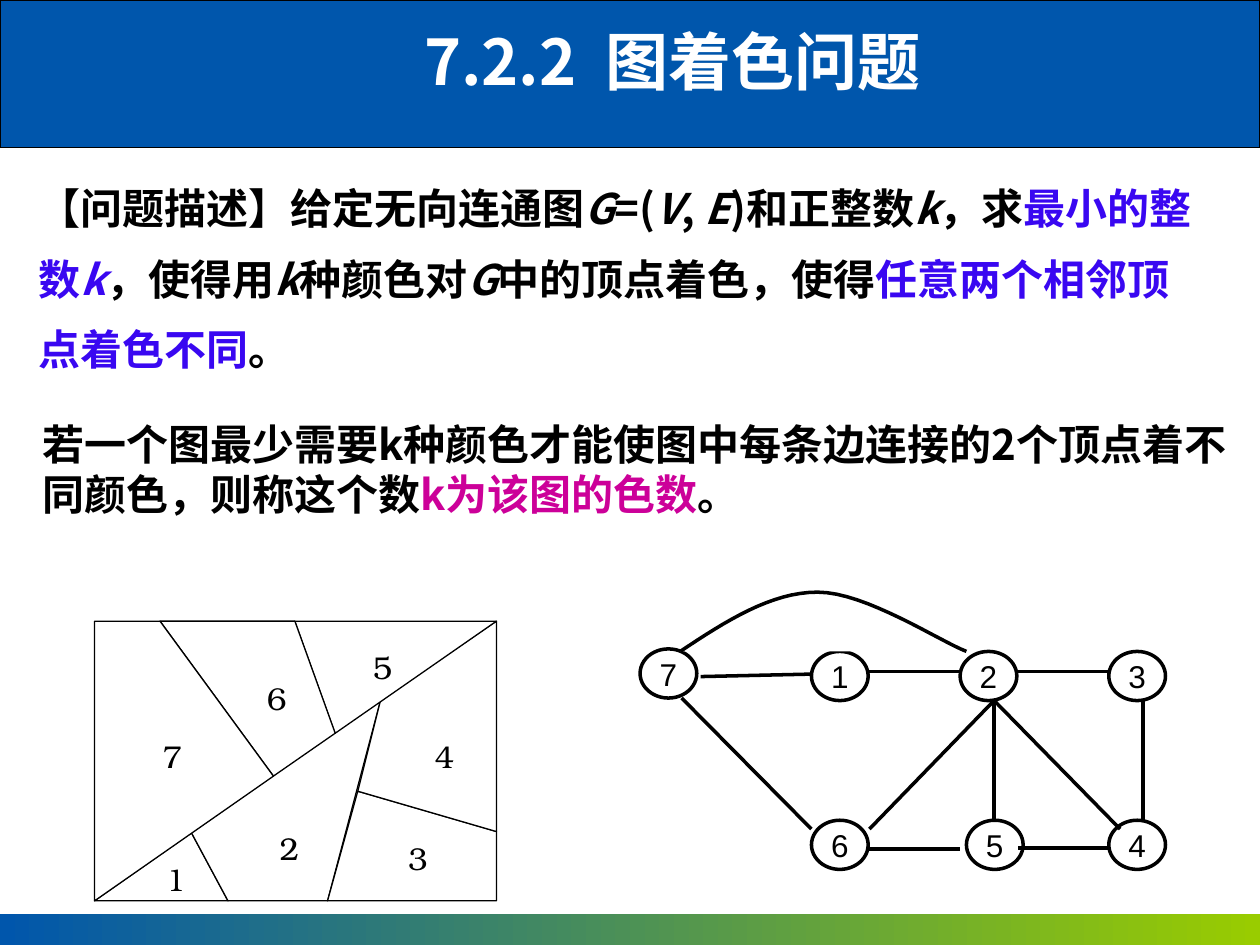
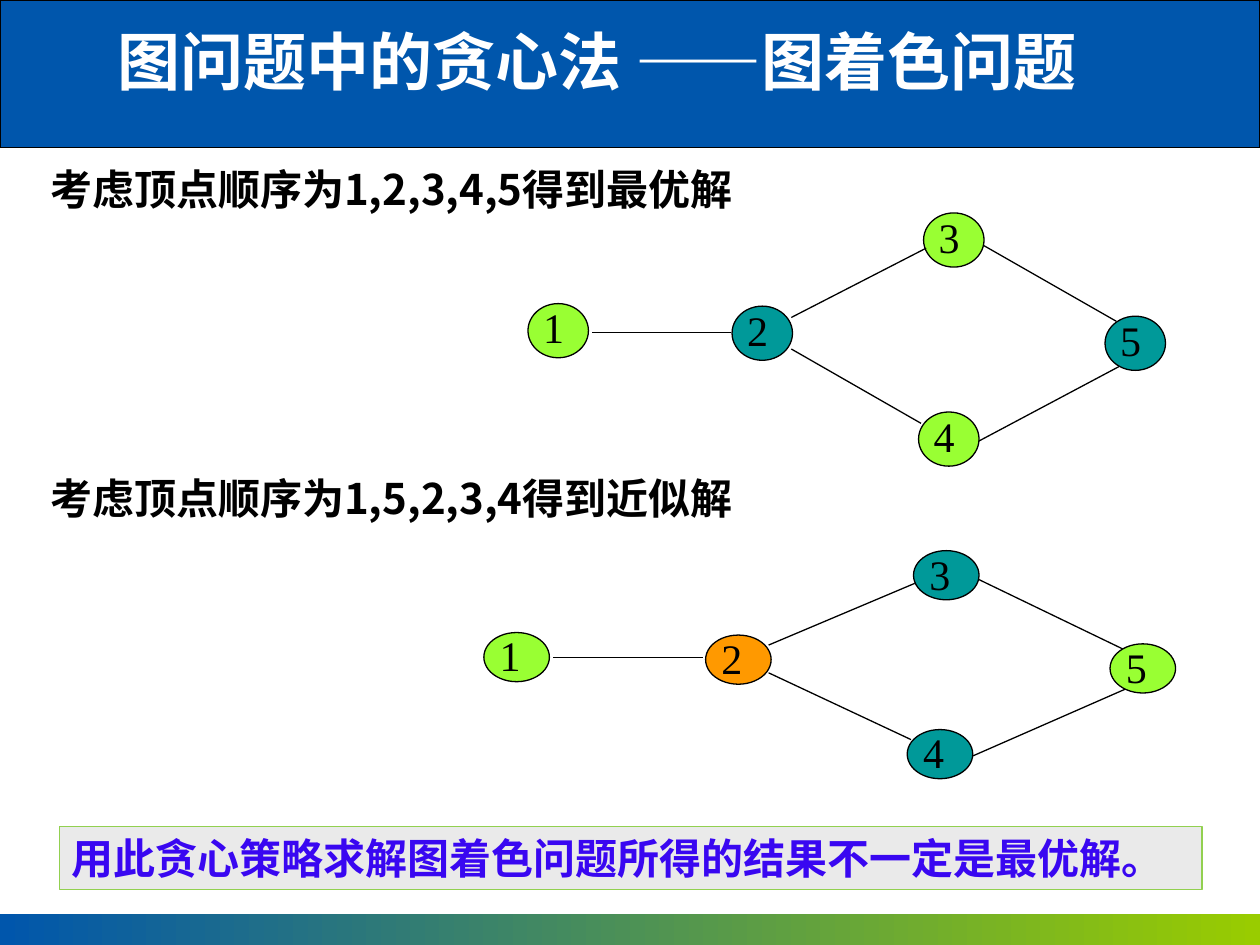
import pptx
import pptx.util
import pptx.dml.color
import pptx.enum.shapes
import pptx.enum.text
import pptx.oxml.ns
import lxml.etree

Inches = pptx.util.Inches
Pt = pptx.util.Pt
SHAPE = pptx.enum.shapes.MSO_SHAPE
ALIGN = pptx.enum.text.PP_ALIGN
ANCHOR = pptx.enum.text.MSO_ANCHOR
qn = pptx.oxml.ns.qn

COLORS = {
    "blue": "0056AC", "lime": "99CC00", "black": "000000", "white": "FFFFFF",
    "violet": "3907F1", "pink": "CC0099", "grey": "EAEAEA", "frame": "92D050",
    "green": "99FF33", "teal": "009999", "orange": "FF9900",
}
HAN = "Noto Sans CJK SC"


def rgb(name):
    return pptx.dml.color.RGBColor.from_string(COLORS[name])


class Deck:
    """Holds the style and the current slide."""

    def __init__(self):
        self.prs = pptx.Presentation()
        self.prs.slide_width = Inches(10)
        self.prs.slide_height = Inches(7.5)
        self.slide = None

    def page(self, title, box, align):
        """Add a slide with its two bands and its title."""
        self.slide = self.prs.slides.add_slide(self.prs.slide_layouts[5])
        self.shape(SHAPE.RECTANGLE, (0, 0, 10, 1.17), "blue")
        foot = self.shape(SHAPE.RECTANGLE, (0, 7.25, 10, 0.25), "blue", None)
        foot.fill.gradient()
        foot.fill.gradient_angle = 0
        for stop, color, place in zip(foot.fill.gradient_stops, ("blue", "lime"), (0, 1)):
            stop.color.rgb = rgb(color)
            stop.position = place
        head = self.slide.shapes.title
        head.left, head.top, head.width, head.height = map(Inches, box)
        self.slide.shapes._spTree.append(head._element)
        head.text_frame.auto_size = pptx.enum.text.MSO_AUTO_SIZE.NONE
        self.label(head, [(title, "white")], 36, align=align)

    def label(self, shape, parts, size=24, font=HAN, bold=True, align=ALIGN.LEFT,
              space=1.0, wrap=True, anchor=ANCHOR.TOP):
        """Fill a shape with runs given as (text, colour, italic or nothing)."""
        frame = shape.text_frame
        frame.word_wrap = wrap
        frame.vertical_anchor = anchor
        para = frame.paragraphs[0]
        para.alignment = align
        para.line_spacing = space
        for text, color, *slant in parts:
            run = para.add_run()
            run.text = text
            run.font.size = Pt(size)
            run.font.bold = bold
            run.font.italic = bool(slant)
            run.font.color.rgb = rgb(color)
            run.font.name = font
            east = lxml.etree.SubElement(run.font._element, qn("a:ea"))
            east.set("typeface", font)

    def text(self, box, parts, **style):
        shape = self.slide.shapes.add_textbox(*map(Inches, box))
        self.label(shape, parts, **style)

    def paint(self, shape, fill, line="black", width=0.75):
        shape.shadow.inherit = False
        shape.fill.solid()
        shape.fill.fore_color.rgb = rgb(fill)
        if line:
            shape.line.color.rgb = rgb(line)
            shape.line.width = Pt(width)
        else:
            shape.line.fill.background()
        return shape

    def shape(self, kind, box, fill, line="black", width=0.75):
        shape = self.slide.shapes.add_shape(kind, *map(Inches, box))
        return self.paint(shape, fill, line, width)

    def outline(self, points, close=True, width=0.75):
        points = [(Inches(x), Inches(y)) for x, y in points]
        pen = self.slide.shapes.build_freeform(*points[0])
        pen.add_line_segments(points[1:], close=close)
        self.paint(pen.convert_to_shape(), "white", width=width)

    def line(self, x1, y1, x2, y2, width=0.75):
        line = self.slide.shapes.add_connector(
            pptx.enum.shapes.MSO_CONNECTOR.STRAIGHT, *map(Inches, (x1, y1, x2, y2)))
        line.line.color.rgb = rgb("black")
        line.line.width = Pt(width)
        lxml.etree.SubElement(line._element.spPr, qn("a:effectLst"))

    def ring(self, name, x, y):
        """Draw a white vertex with a heavy outline."""
        node = self.shape(SHAPE.OVAL, (x, y, 0.45, 0.39), "white", width=2)
        self.label(node, [(name, "black")], 18, "Arial", False, ALIGN.CENTER,
                   wrap=False, anchor=ANCHOR.MIDDLE)

    def disc(self, name, x, y, size, fill):
        """Draw a coloured vertex."""
        node = self.shape(SHAPE.OVAL, (x, y, *size), fill)
        frame = node.text_frame
        frame.margin_left = Inches(0.05)
        frame.margin_top = frame.margin_right = frame.margin_bottom = 0
        self.label(node, [(name, "black")], 24, "Times New Roman", False,
                   ALIGN.JUSTIFY, 0.8)

    def graph(self, size, nodes, edges):
        for number, (x, y, fill) in enumerate(nodes, 1):
            self.disc(str(number), x, y, size, fill)
        for edge in edges:
            self.line(*edge)


def bezier(a, b, c, d, steps=16):
    """Sample a cubic curve."""
    for i in range(steps + 1):
        t = i / steps
        u = 1 - t
        yield tuple(u**3 * p + 3 * u * u * t * q + 3 * u * t * t * r + t**3 * s
                    for p, q, r, s in zip(a, b, c, d))


def draw_map(deck):
    """Draw the seven regions with their numbers."""
    west, east, north, south = 0.75, 3.94, 4.93, 7.15
    spots = {
        "sw": (west, south), "s1": (1.81, south), "s2": (2.6, south),
        "se": (east, south), "e": (east, 6.6), "ne": (east, north),
        "n2": (2.34, north), "n1": (1.27, north), "nw": (west, north),
        "d1": (1.52, 6.61), "d2": (2.17, 6.16), "d3": (2.66, 5.82),
        "d4": (3.02, 5.56), "m": (2.84, 6.28),
    }
    areas = [
        ("sw s1 d1", 1.22, 6.78), ("s1 s2 d4 d1", 2.12, 6.53),
        ("s2 se e m", 3.14, 6.61), ("e ne d4 m", 3.35, 5.8),
        ("ne n2 d3", 2.86, 5.09), ("n2 n1 d2 d3", 2.02, 5.34),
        ("nw sw d2 n1", 1.19, 5.8),
    ]
    for names, _, _ in areas:
        deck.outline([spots[name] for name in names.split()])
    for number, (_, x, y) in enumerate(areas, 1):
        deck.text((x, y, 0.35, 0.4), [(str(number), "black")], size=18,
                  font="TeX Gyre Bonum", bold=False, wrap=False)


def draw_net(deck):
    """Draw the graph that matches the map."""
    high, low = 5.17, 6.51
    nodes = [(6.44, high), (7.62, high), (8.8, high), (8.8, low),
             (7.67, low), (6.44, low), (5.08, 5.15)]
    for number, (x, y) in enumerate(nodes, 1):
        deck.ring(str(number), x, y)
    edges = [
        (9.07, 5.56, 9.07, 6.51), (6.9, 5.33, 7.62, 5.33),
        (8.07, 5.33, 8.8, 5.33), (6.9, 6.58, 7.89, 5.56),
        (7.89, 5.56, 8.89, 6.58), (5.56, 5.37, 6.44, 5.35),
        (6.9, 6.74, 7.62, 6.74), (8.08, 6.73, 8.8, 6.73),
        (5.41, 5.54, 6.44, 6.58), (7.89, 5.57, 7.89, 6.52),
    ]
    for edge in edges:
        deck.line(*edge, width=2)
    rise = list(bezier((5.4, 5.17), (5.76, 4.93), (6.12, 4.7), (6.49, 4.7)))
    fall = list(bezier((6.49, 4.7), (6.87, 4.7), (7.46, 5.09), (7.67, 5.17)))
    deck.outline(rise + fall[1:], close=False, width=2)


def problem(deck):
    deck.page("7.2.2  图着色问题", (2, 0.13, 6.67, 0.77), ALIGN.CENTER)
    deck.text((0.24, 3.27, 9.76, 0.91), [
        ("若一个图最少需要k种颜色才能使图中每条边连接的2个顶点着不同颜色，则称这个数", "black"),
        ("k为该图的色数", "pink"), ("。", "black")])
    deck.text((0.21, 1.24, 9.44, 1.8), [
        ("【问题描述】给定无向连通图", "black"), ("G", "black", "i"),
        ("=(", "black"), ("V", "black", "i"), (", ", "black"),
        ("E", "black", "i"), (")和正整数", "black"), ("k", "black", "i"),
        ("，求", "black"), ("最小的整数", "violet"), ("k", "violet", "i"),
        ("，使得用", "black"), ("k", "black", "i"), ("种颜色对", "black"),
        ("G", "black", "i"), ("中的顶点着色，使得", "black"),
        ("任意两个相邻顶点着色不同", "violet"), ("。", "black")], space=1.4)
    draw_map(deck)
    draw_net(deck)


def greedy(deck):
    deck.page("图问题中的贪心法 ——图着色问题", (0.83, 0.13, 8.08, 0.7), ALIGN.LEFT)
    deck.graph(
        (0.48, 0.43),
        [(4.19, 2.41, "green"), (5.81, 2.43, "teal"), (7.33, 1.69, "green"),
         (7.29, 3.27, "green"), (8.77, 2.51, "teal")],
        [(4.7, 2.64, 5.8, 2.64), (6.28, 2.52, 7.35, 1.97), (6.28, 2.77, 7.31, 3.36),
         (7.77, 3.5, 8.88, 2.91), (8.86, 2.55, 7.81, 1.95)])
    deck.graph(
        (0.52, 0.39),
        [(3.84, 5.02, "green"), (5.6, 5.04, "orange"), (7.25, 4.37, "teal"),
         (7.2, 5.79, "teal"), (8.81, 5.11, "green")],
        [(4.39, 5.22, 5.58, 5.22), (6.1, 5.12, 7.26, 4.63), (6.1, 5.34, 7.23, 5.87),
         (7.72, 6, 8.93, 5.47), (8.91, 5.15, 7.77, 4.6)])
    for y, order, result in ((1.25, "1,2,3,4,5", "最优解"), (3.7, "1,5,2,3,4", "近似解")):
        deck.text((0.3, y, 6.53, 0.5), [(f"考虑顶点顺序为{order}得到{result}", "black")])
    note = deck.shape(SHAPE.RECTANGLE, (0.47, 6.56, 9.07, 0.5), "grey", "frame")
    deck.label(note, [("用此贪心策略求解图着色问题所得的结果不一定是最优解。", "violet")],
               align=ALIGN.JUSTIFY)


def main():
    deck = Deck()
    problem(deck)
    greedy(deck)
    deck.prs.save("out.pptx")


if __name__ == "__main__":
    main()
